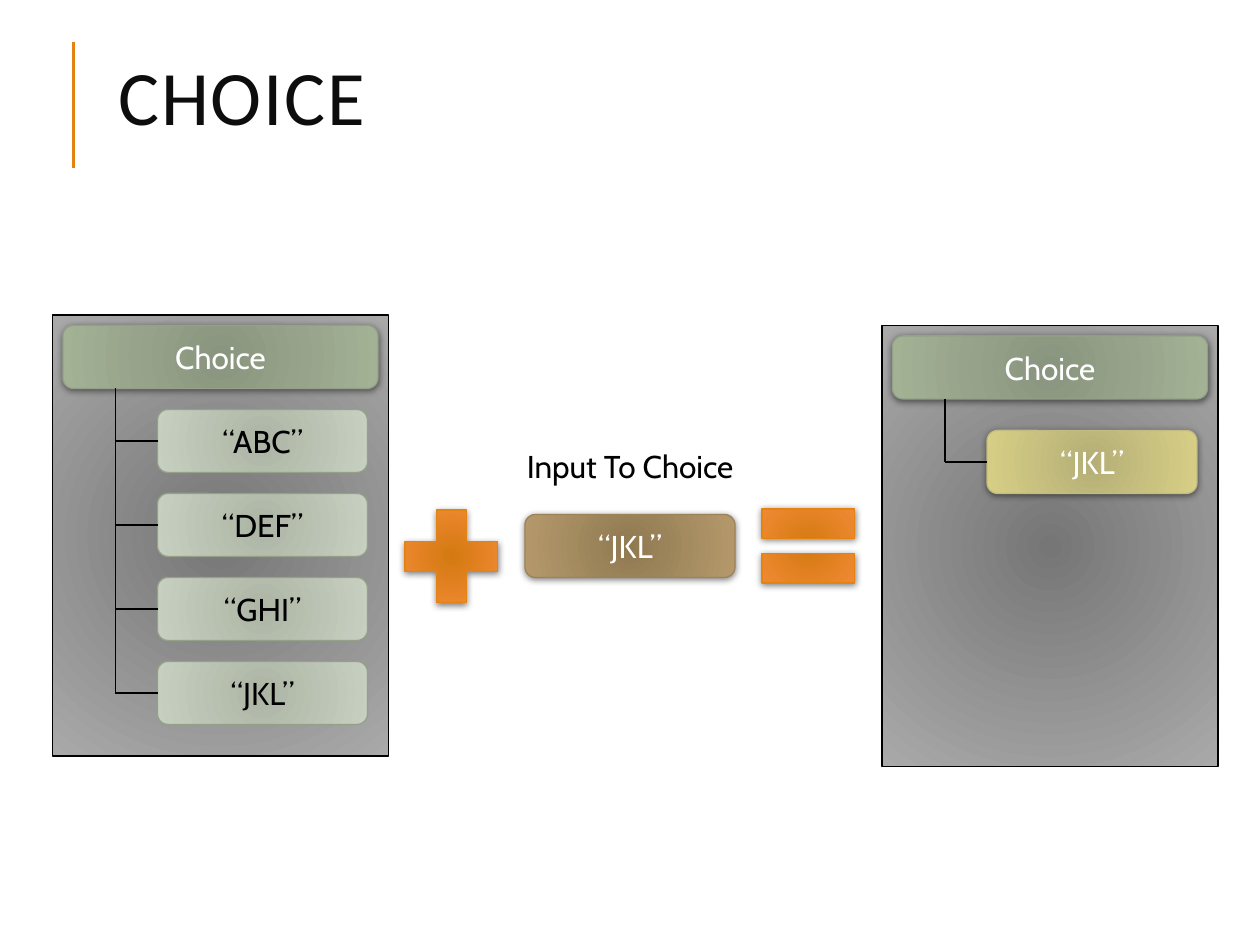
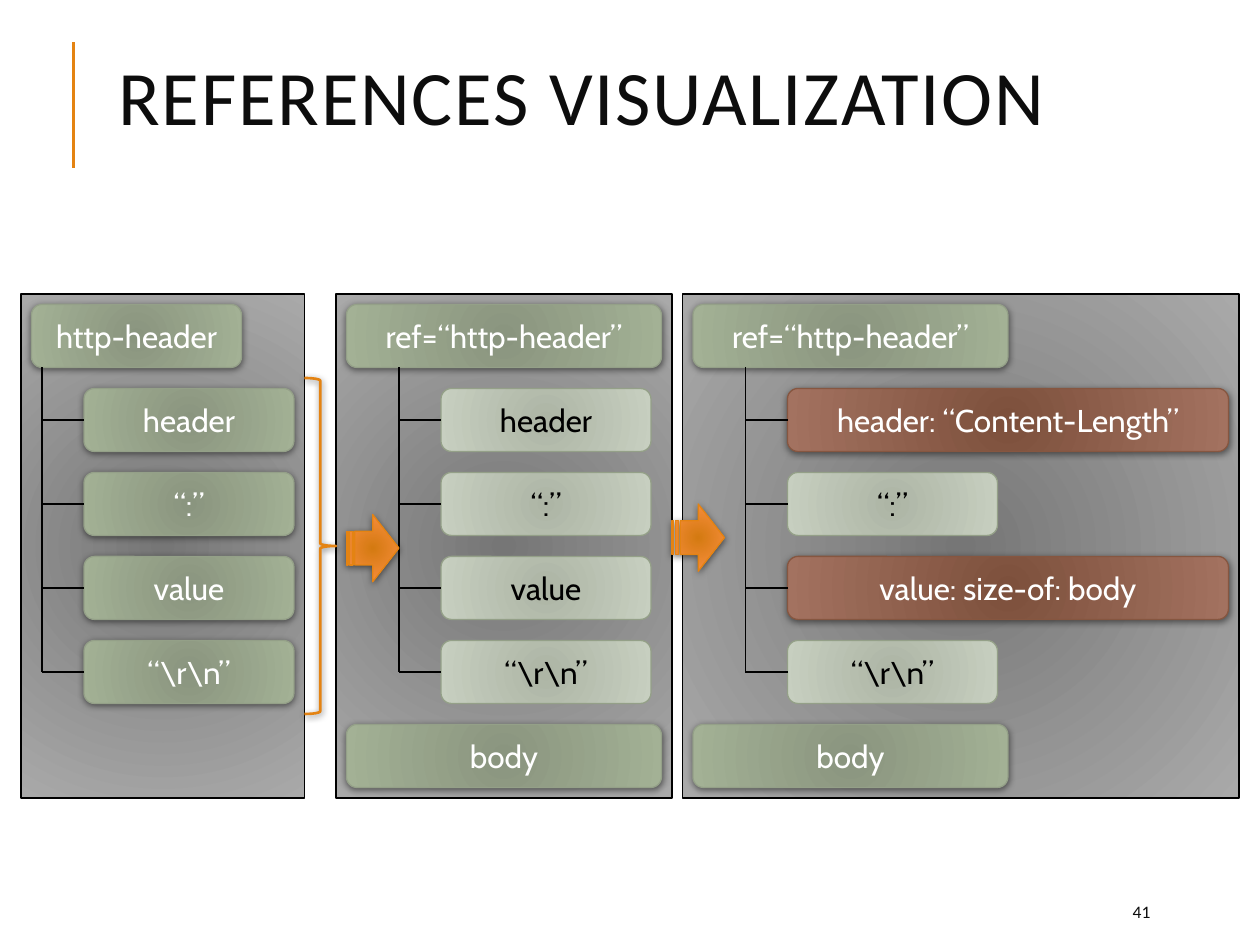
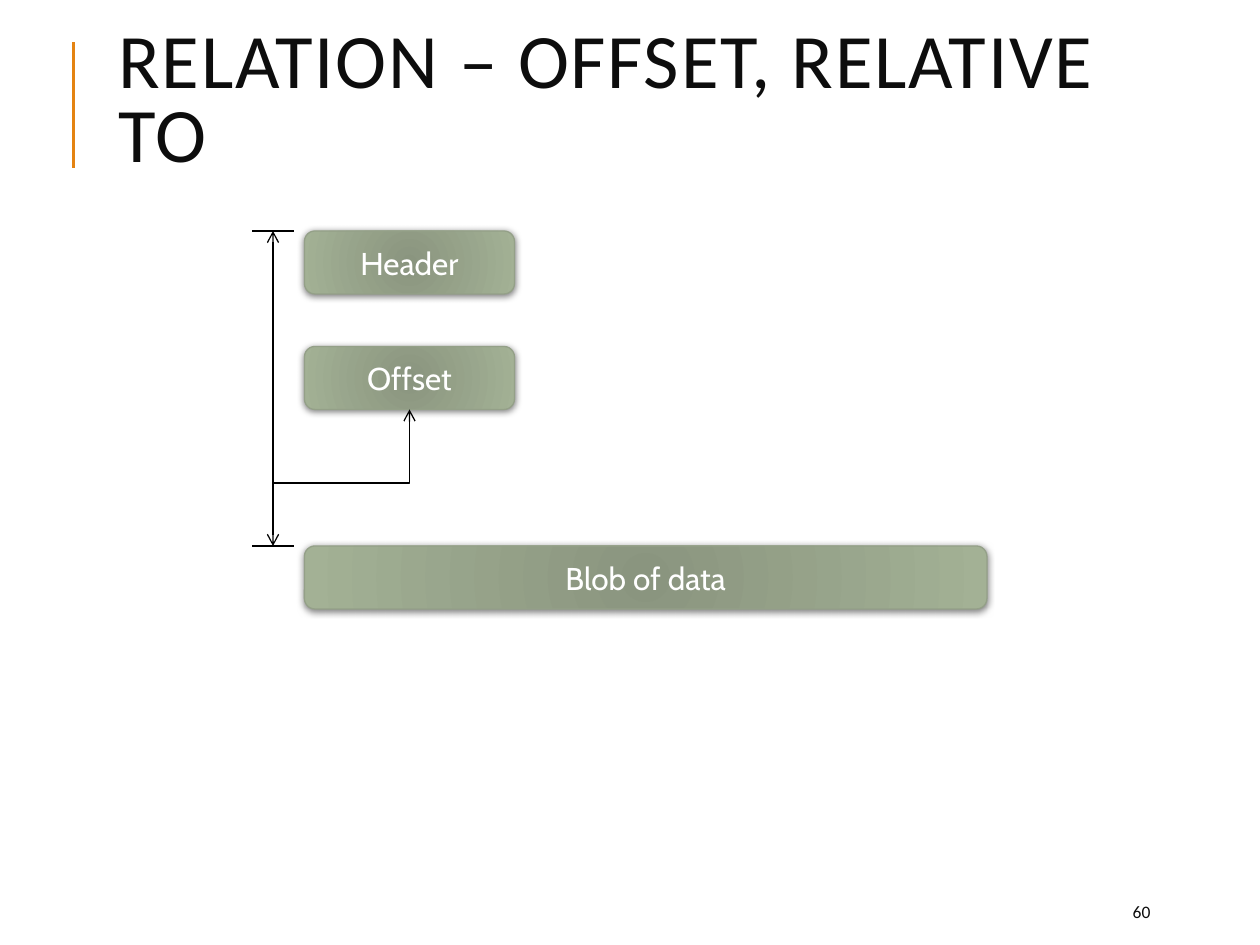
from pptx import Presentation
from pptx.dml.color import RGBColor as RGB
from pptx.enum.shapes import MSO_CONNECTOR as LINK, MSO_SHAPE as KIND
from pptx.enum.text import MSO_ANCHOR as ANCHOR, PP_ALIGN as ALIGN
from pptx.oxml import parse_xml
from pptx.oxml.ns import nsdecls, qn
from pptx.util import Pt

PX = 7620  # 120 px to the inch

HUES = {"black": "000000", "white": "FFFFFF", "ink": "0D0D0D", "orange": "E48312"}

# Inner colour, outer colour, edge, text colour, shadow
FILLS = {
    "panel": ("767676", "A9A9A9", "000000", "black", False),
    "green": ("8A957F", "A3B195", "94A088", "white", True),
    "pale": ("ADB5A5", "C7CFC0", "94A088", "black", False),
    "gold": ("B5AF77", "D7CF86", "C2BC80", "white", True),
    "tan": ("907A51", "B5996C", "9B8357", "white", True),
    "rust": ("7D503C", "A37260", "865640", "white", True),
    "sign": ("D47A11", "FF9146", "E48312", "white", True),
    "brace": (None, None, "E48312", "white", True),
}
FONTS = {
    "label": {"name": "Cabin", "size": Pt(18)},
    "title": {"name": "Calibri", "size": Pt(44)},
    "page": {"name": "Calibri", "size": Pt(10)},
}
RADIAL = (f'<a:path {nsdecls("a")} path="circle"><a:fillToRect l="100000" '
          't="100000" r="100000" b="100000"/></a:path>')
SHADOW = (f'<a:outerShdw {nsdecls("a")} blurRad="50800" dist="12700" dir="5400000" '
          'rotWithShape="0"><a:srgbClr val="000000"><a:alpha val="50000"/>'
          '</a:srgbClr></a:outerShdw>')


def put(slide, kind, area, look, text=""):
    """Add a filled shape, or a text box when kind is None."""
    area = [n * PX for n in area]
    if kind is None:
        shape = slide.shapes.add_textbox(*area)
        font, hue = look, "black" if look == "label" else "ink"
    else:
        shape = slide.shapes.add_shape(kind, *area)
        inner, outer, edge, hue, shade = FILLS[look]
        font = "label"
        if inner:
            shape.fill.gradient()
            for stop, tone in zip(shape.fill.gradient_stops, (inner, outer)):
                stop.color.rgb = RGB.from_string(tone)
            lin = next(shape._element.spPr.iter(qn("a:lin")))
            lin.getparent().replace(lin, parse_xml(RADIAL))
        else:
            shape.fill.background()
        shape.line.color.rgb = RGB.from_string(edge)
        shape.line.width = Pt(0.75 if inner else 1.5)
        shape.shadow.inherit = False
        if shade:
            shape._element.spPr.find(qn("a:effectLst")).append(parse_xml(SHADOW))
    if text:
        frame = shape.text_frame
        frame.word_wrap = look != "label"
        frame.vertical_anchor = ANCHOR.TOP if look == "label" else ANCHOR.MIDDLE
        para = frame.paragraphs[0]
        para.alignment = ALIGN.CENTER if kind else ALIGN.LEFT
        run = para.add_run()
        run.text = text
        for key, value in FONTS[font].items():
            setattr(run.font, key, value)
        run.font.color.rgb = RGB.from_string(HUES[hue])
        if look == "title":
            para.line_spacing = 0.8
            run._r.get_or_add_rPr().set("spc", "100")


def link(slide, ends, hue="black", width=0.75, tips=(), kind=LINK.STRAIGHT):
    """Add a line; tips names the ends that carry an arrowhead."""
    line = slide.shapes.add_connector(kind, *[n * PX for n in ends])
    line.line.color.rgb = RGB.from_string(HUES[hue])
    line.line.width = Pt(width)
    for tip in tips:
        line.line._get_or_add_ln().append(
            parse_xml(f'<a:{tip} {nsdecls("a")} type="arrow"/>'))
    line._element.spPr.append(parse_xml(f'<a:effectLst {nsdecls("a")}/>'))
    return line


deck = Presentation()
deck.slide_width, deck.slide_height = 1200 * PX, 900 * PX

# Title, rule and page number of each slide
slides = []
for title, page in (("CHOICE", ""), ("REFERENCES VISUALIZATION", "41"),
                    ("RELATION – OFFSET, RELATIVE TO", "60")):
    slide = deck.slides.add_slide(deck.slide_layouts[6])
    link(slide, (70, 160, 70, 40), "orange", 1.5)
    put(slide, None, (101, 0, 956, 197), "title", title)
    if page:
        put(slide, None, (1067, 850, 96, 36), "page", page)
    slides.append(slide)
choice, refs, offset = slides

# Trees: slide, panel, head width and text, trunk and kid indent, first drop, kids
parts = ("header", "“:”", "value", "“\\r\\n”")
fixed = ("header: “Content-Length”", "“:”", "value: size-of: body", "“\\r\\n”")
trees = (
    (choice, (50, 300, 320, 420), 300, "Choice", 50, 90, 80,
     [(name, "pale", 200) for name in ("“ABC”", "“DEF”", "“GHI”", "“JKL”")]),
    (choice, (840, 310, 320, 420), 300, "Choice", 50, 90, 90,
     [("“JKL”", "gold", 200)]),
    (refs, (20, 280, 270, 480), 200, "http-header", 10, 50, 80,
     [(name, "green", 200) for name in parts]),
    (refs, (320, 280, 320, 480), 300, "ref=“http-header”", 50, 90, 80,
     [(name, "pale", 200) for name in parts]),
    (refs, (650, 280, 530, 480), 300, "ref=“http-header”", 50, 90, 80,
     [(name, "rust" if " " in name else "pale", 420 if " " in name else 200)
      for name in fixed]),
)
for slide, panel, wide, head, trunk, inset, drop, kids in trees:
    put(slide, KIND.RECTANGLE, panel, "panel")
    left, top = panel[0] + 10, panel[1] + 10
    put(slide, KIND.ROUNDED_RECTANGLE, (left, top, wide, 60), "green", head)
    stem = left + trunk
    for row, (name, look, width) in enumerate(kids):
        y = top + drop + 80 * row
        put(slide, KIND.ROUNDED_RECTANGLE, (left + inset, y, width, 60), look, name)
        link(slide, (stem, y + 30, left + inset, y + 30))
    link(slide, (stem, top + 60, stem, y + 30))
    if head.startswith("ref"):
        put(slide, KIND.ROUNDED_RECTANGLE, (left, top + 400, wide, 60), "green", "body")

# Choice: input between plus and equals
put(choice, KIND.ROUNDED_RECTANGLE, (500, 490, 200, 60), "tan", "“JKL”")
put(choice, None, (490, 420, 240, 48), "label", "Input To Choice")
put(choice, KIND.MATH_PLUS, (370, 470, 120, 120), "sign")
put(choice, KIND.MATH_EQUAL, (710, 460, 120, 120), "sign")

# References: brace and arrows between panels
put(refs, KIND.RIGHT_BRACE, (290, 360, 30, 320), "brace")
for x, y in ((330, 490), (640, 480)):
    put(refs, KIND.STRIPED_RIGHT_ARROW, (x, y, 50, 64), "sign")

# Offset: blocks, measure with end ticks, bent arrow
for y, width, name in ((220, 200, "Header"), (330, 200, "Offset"),
                       (520, 650, "Blob of data")):
    put(offset, KIND.ROUNDED_RECTANGLE, (290, y, width, 60), "green", name)
link(offset, (260, 520, 260, 220), tips=("headEnd", "tailEnd"))
for y in (220, 520):
    link(offset, (280, y, 240, y))
bent = link(offset, (290, 360, 360, 490), tips=("headEnd",), kind=LINK.ELBOW)
shape = bent._element.spPr
shape.find(qn("a:xfrm")).set("rot", "5400000")
shape.find(qn("a:prstGeom")).set("prst", "bentConnector2")

deck.save("out.pptx")
